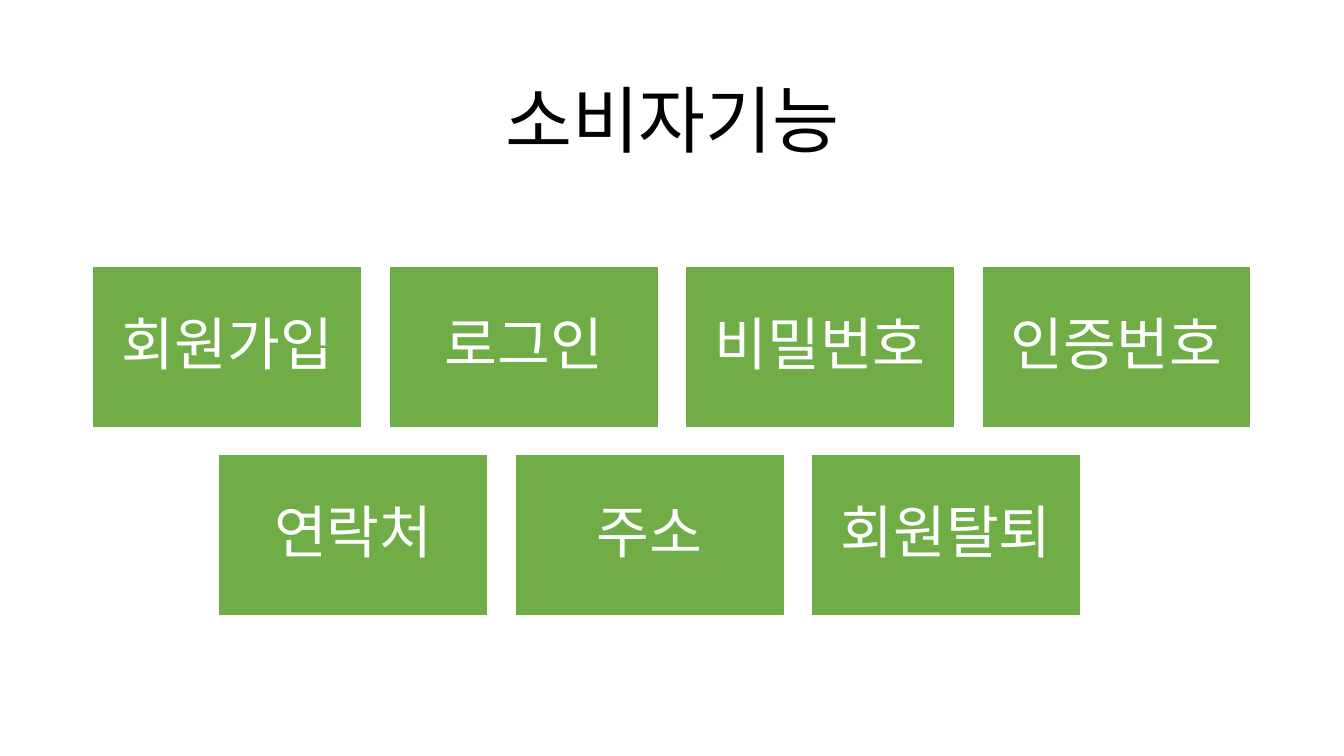
from dataclasses import dataclass

from lxml.etree import SubElement
from pptx import Presentation
from pptx.dml.color import RGBColor
from pptx.enum.shapes import MSO_SHAPE
from pptx.enum.text import MSO_ANCHOR, PP_ALIGN
from pptx.oxml.ns import qn
from pptx.util import Pt

TITLE = "소비자기능"
TITLE_BOX = (92, 61, 1150, 124)
FEATURE_ROWS = [
    (92, ["회원가입", "로그인", "비밀번호", "인증번호"]),
    (217, ["연락처", "주소", "회원탈퇴"]),
]
SLIDE_W, SLIDE_H = 1333, 750
GRID_TOP = 264
TILE_W, TILE_H = 267, 160
GAP = 27
TILE_INSET = 17
EMU_PER_PX = 9144


@dataclass(frozen=True)
class Theme:
    font: str = "Noto Sans CJK KR"
    title_size: int = 52
    tile_size: int = 41
    line_width: int = 1
    line_spacing: float = 0.9
    ink: RGBColor = RGBColor(0, 0, 0)
    white: RGBColor = RGBColor(255, 255, 255)
    green: RGBColor = RGBColor(0x70, 0xAD, 0x47)


THEME = Theme()


def px(*values):
    return [value * EMU_PER_PX for value in values]


def set_text(sp, text, size, color):
    tf = sp.text_frame
    tf.text = text
    tf.word_wrap = True
    tf.vertical_anchor = MSO_ANCHOR.MIDDLE
    p = tf.paragraphs[0]
    p.alignment = PP_ALIGN.CENTER
    p.line_spacing = THEME.line_spacing
    r = p.runs[0]
    r.font.size = Pt(size)
    r.font.name = THEME.font
    r.font.color.rgb = color
    SubElement(r.font._element, qn("a:ea"), typeface=THEME.font)


def add_tile(s, left, top, text):
    sp = s.shapes.add_shape(MSO_SHAPE.RECTANGLE, *px(left, top, TILE_W, TILE_H))
    sp.shadow.inherit = False
    sp.fill.solid()
    sp.fill.fore_color.rgb = THEME.green
    sp.line.color.rgb = THEME.white
    sp.line.width = Pt(THEME.line_width)
    tf = sp.text_frame
    tf.margin_left, tf.margin_top, tf.margin_right, tf.margin_bottom = px(*[TILE_INSET] * 4)
    set_text(sp, text, THEME.tile_size, THEME.white)


def main():
    prs = Presentation()
    prs.slide_width, prs.slide_height = px(SLIDE_W, SLIDE_H)
    s = prs.slides.add_slide(prs.slide_layouts[6])
    title = s.shapes.add_textbox(*px(*TITLE_BOX))
    set_text(title, TITLE, THEME.title_size, THEME.ink)
    for row, (left, features) in enumerate(FEATURE_ROWS):
        top = GRID_TOP + row * (TILE_H + GAP)
        for col, feature in enumerate(features):
            add_tile(s, left + col * (TILE_W + GAP), top, feature)
    prs.save("out.pptx")


if __name__ == "__main__":
    main()
